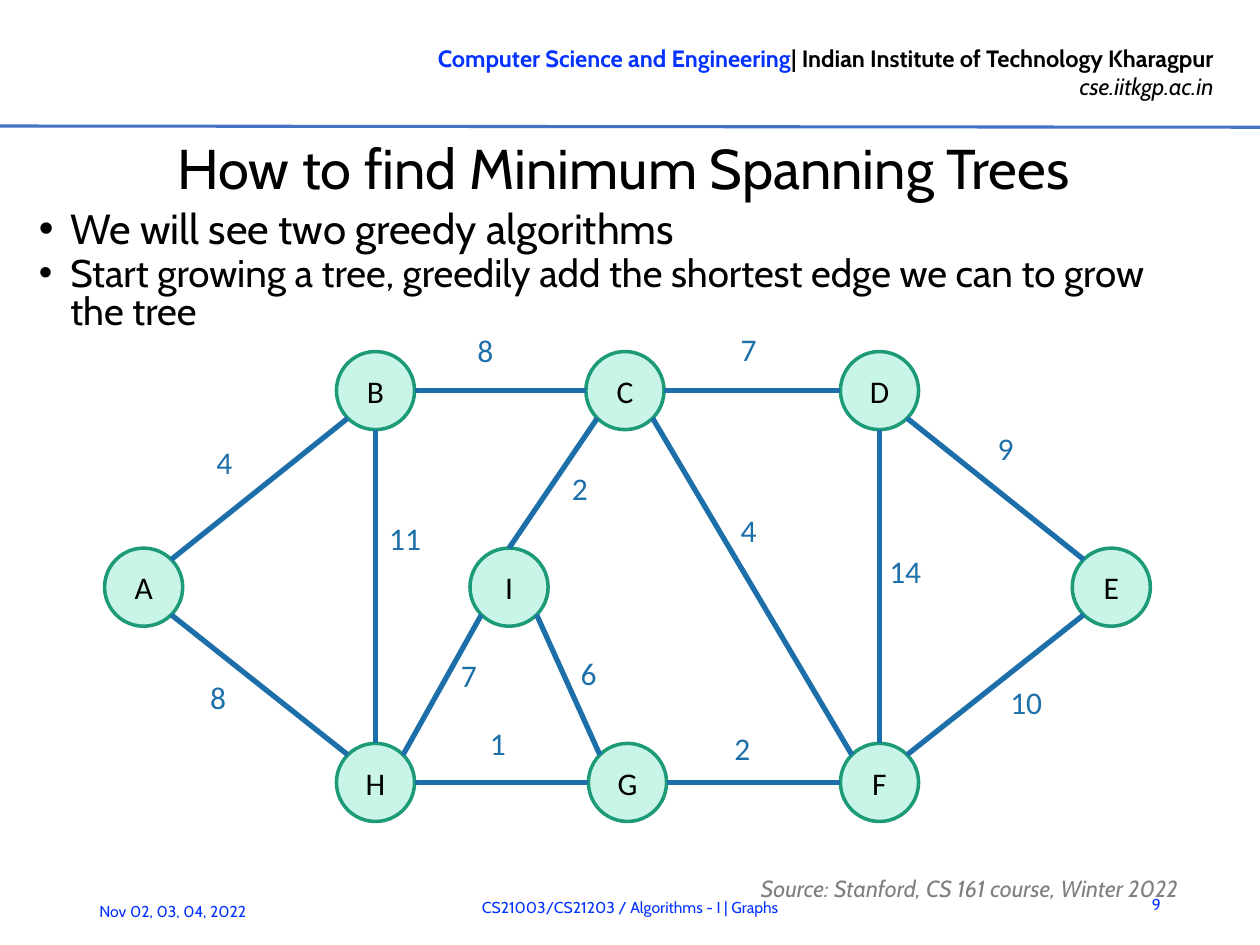
import dataclasses
import math

import lxml.etree
import pptx
import pptx.dml.color
import pptx.enum.shapes
import pptx.enum.text
import pptx.oxml.ns
import pptx.util

Inches = pptx.util.Inches
Pt = pptx.util.Pt
Color = pptx.dml.color.RGBColor.from_string
Align = pptx.enum.text.PP_ALIGN
Anchor = pptx.enum.text.MSO_ANCHOR
qn = pptx.oxml.ns.qn


@dataclasses.dataclass(frozen=True)
class Theme:
    text_font: str = "Cabin"
    graph_font: str = "Calibri"
    ink: str = "000000"
    blue: str = "0432FF"
    gray: str = "808080"
    rule: str = "4472C4"
    edge: str = "1D6FA9"
    node_fill: str = "C8F5E8"
    node_line: str = "1D9A78"
    title: float = 32
    bullet: float = 24
    sub_bullet: float = 22
    graph: float = 18
    header: float = 13.5
    source: float = 13.3
    footer: float = 9


theme = Theme()
deck = pptx.Presentation()
deck.slide_width, deck.slide_height = Inches(10), Inches(7.5)
page = deck.slides.add_slide(deck.slide_layouts[6])


def add_text(para, text, size, color, font=theme.text_font, bold=False, italic=False):
    span = para.add_run()
    span.text = text
    span.font.name = font
    span.font.size = Pt(size)
    span.font.color.rgb = Color(color)
    span.font.bold = bold
    span.font.italic = italic


def add_line(start, end, color, width):
    line = page.shapes.add_connector(
        pptx.enum.shapes.MSO_CONNECTOR.STRAIGHT, *map(Inches, start + end))
    line.line.color.rgb = Color(color)
    line.line.width = Pt(width)
    lxml.etree.SubElement(line._element.spPr, qn("a:effectLst"))


header = page.shapes.add_textbox(Inches(2.65), Inches(0.3), Inches(7.08), Inches(0.56))
header.text_frame.word_wrap = False
para = header.text_frame.paragraphs[0]
para.alignment = Align.RIGHT
add_text(para, "Computer Science and Engineering", theme.header, theme.blue, bold=True)
add_text(para, "| Indian Institute of Technology Kharagpur", theme.header, theme.ink, bold=True)
para = header.text_frame.add_paragraph()
para.alignment = Align.RIGHT
add_text(para, "cse.iitkgp.ac.in", theme.header, theme.ink, italic=True)
add_line((0, 1), (10, 1.01), theme.rule, 1.75)

title = page.shapes.add_textbox(Inches(0.32), Inches(1.05), Inches(9.26), Inches(0.55))
frame = title.text_frame
frame.word_wrap = True
frame.vertical_anchor = Anchor.MIDDLE
frame.margin_left = frame.margin_right = frame.margin_bottom = 0
frame.margin_top = Inches(0.01)
frame.paragraphs[0].alignment = Align.CENTER
add_text(frame.paragraphs[0], "How to find Minimum Spanning Trees", theme.title, theme.ink)

body = page.shapes.add_textbox(Inches(0.21), Inches(1.66), Inches(9.37), Inches(5.41))
body.text_frame.word_wrap = True
bullets = [
    ("We will see two greedy algorithms", theme.bullet),
    ("Start growing a tree, greedily add the shortest edge we can to grow the tree",
     theme.sub_bullet),
]
for index, (text, size) in enumerate(bullets):
    para = body.text_frame.add_paragraph() if index else body.text_frame.paragraphs[0]
    properties = para._p.get_or_add_pPr()
    properties.set("marL", str(Inches(0.25)))
    properties.set("indent", str(Inches(-0.25)))
    lxml.etree.SubElement(properties, qn("a:buFont"), typeface="Arial")
    lxml.etree.SubElement(properties, qn("a:buChar"), char="•")
    para.line_spacing = Pt(21.6)
    para.space_before = Pt(1.3 if index else 0)
    para.space_after = Pt(1.3)
    add_text(para, text, size, theme.ink)

footers = [
    ("9", 8.82, 6.98, 0.49, Align.RIGHT),
    ("Nov 02, 03, 04, 2022", 0.69, 7.03, 1.75, Align.LEFT),
    ("CS21003/CS21203 / Algorithms - I | Graphs", 1.65, 7, 6.7, Align.CENTER),
]
for text, left, top, width, alignment in footers:
    box = page.shapes.add_textbox(Inches(left), Inches(top), Inches(width), Inches(0.4))
    box.text_frame.word_wrap = True
    box.text_frame.vertical_anchor = Anchor.MIDDLE
    box.text_frame.paragraphs[0].alignment = alignment
    add_text(box.text_frame.paragraphs[0], text, theme.footer, theme.blue)

source = page.shapes.add_textbox(Inches(5.94), Inches(6.9), Inches(4.02), Inches(0.23))
source.text_frame.word_wrap = True
source.text_frame.vertical_anchor = Anchor.MIDDLE
para = source.text_frame.paragraphs[0]
para.line_spacing = Pt(21.3)
add_text(para, "Source: Stanford, CS 161 course, Winter 2022",
         theme.source, theme.gray, italic=True)

radius = 0.31
upper, middle, lower = 3.1, 4.66, 6.21
nodes = {
    "A": (1.14, middle), "B": (2.98, upper), "C": (4.96, upper),
    "D": (6.98, upper), "E": (8.82, middle), "F": (6.98, lower),
    "G": (4.98, lower), "H": (2.98, lower), "I": (4.04, middle),
}
for name, (x, y) in nodes.items():
    node = page.shapes.add_shape(
        pptx.enum.shapes.MSO_SHAPE.OVAL, Inches(x - radius), Inches(y - radius),
        Inches(2 * radius), Inches(2 * radius))
    node.shadow.inherit = False
    node.fill.solid()
    node.fill.fore_color.rgb = Color(theme.node_fill)
    node.line.color.rgb = Color(theme.node_line)
    node.line.width = Pt(2)
    node.text_frame.vertical_anchor = Anchor.MIDDLE
    node.text_frame.paragraphs[0].alignment = Align.CENTER
    add_text(node.text_frame.paragraphs[0], name, theme.graph, theme.ink, theme.graph_font)

edges = [
    ("A", "B", "4", 1.62, 3.47), ("A", "H", "8", 1.57, 5.33),
    ("B", "C", "8", 3.69, 2.58), ("B", "H", "11", 2.99, 4.07),
    ("C", "D", "7", 5.78, 2.57), ("C", "I", "2", 4.44, 3.67),
    ("C", "F", "4", 5.78, 4.01), ("D", "E", "9", 7.82, 3.36),
    ("D", "F", "14", 6.96, 4.33), ("E", "F", "10", 7.92, 5.37),
    ("F", "G", "2", 5.73, 5.74), ("G", "H", "1", 3.79, 5.7),
    ("H", "I", "7", 3.56, 5.16), ("I", "G", "6", 4.51, 5.14),
]
eighth = math.pi / 4
fixed_angles = {("I", "C"): -math.pi / 2}
for first, second, weight, left, top in edges:
    ends = []
    for near, far in ((first, second), (second, first)):
        (x, y), (far_x, far_y) = nodes[near], nodes[far]
        nearest = round(math.atan2(far_y - y, far_x - x) / eighth) * eighth
        angle = fixed_angles.get((near, far), nearest)
        ends.append((x + radius * math.cos(angle), y + radius * math.sin(angle)))
    add_line(*ends, theme.edge, 3)
    label = page.shapes.add_textbox(Inches(left), Inches(top), Inches(0.86), Inches(0.5))
    label.text_frame.word_wrap = True
    add_text(label.text_frame.paragraphs[0], weight, theme.graph, theme.edge, theme.graph_font)

deck.save("out.pptx")
